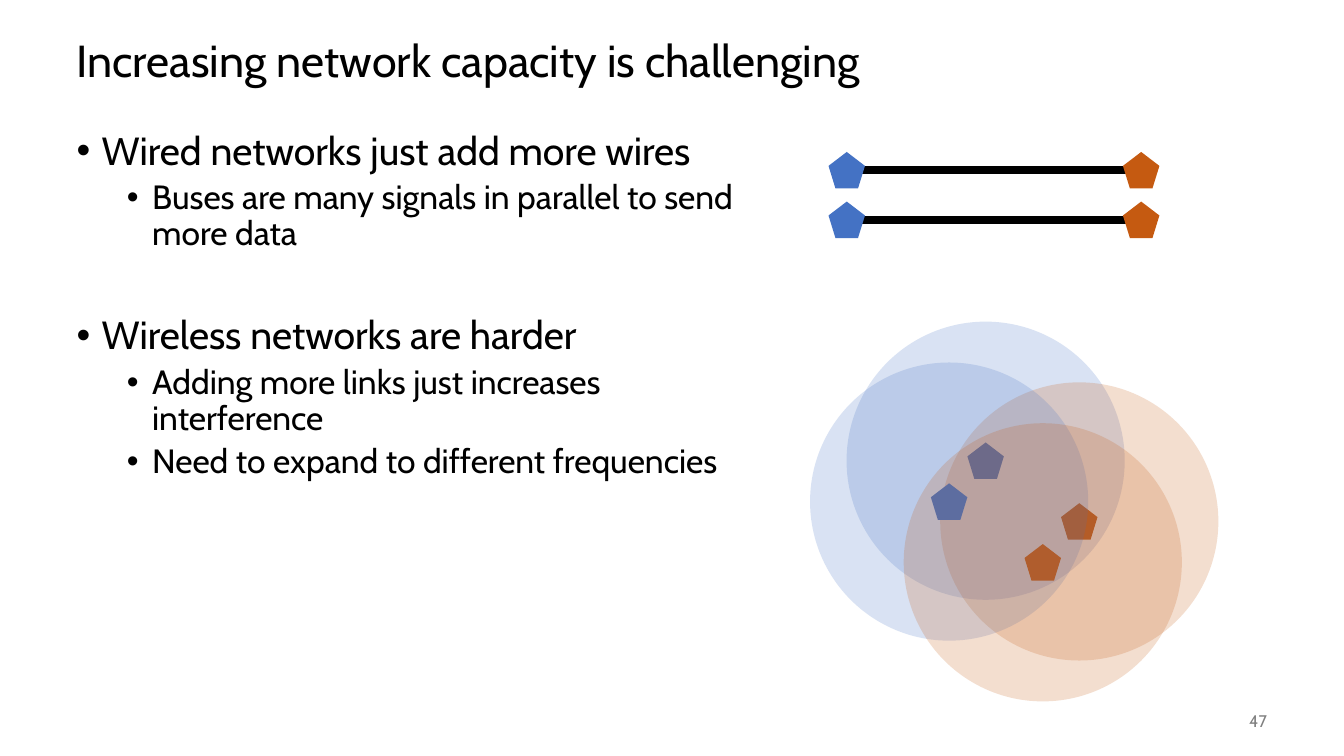
from dataclasses import dataclass

from lxml.etree import SubElement
from pptx import Presentation
from pptx.dml.color import RGBColor
from pptx.enum.shapes import MSO_CONNECTOR, MSO_SHAPE
from pptx.enum.text import MSO_ANCHOR, PP_ALIGN
from pptx.oxml.ns import qn
from pptx.util import Cm, Pt


@dataclass(frozen=True)
class Theme:
    font: str = "Cabin"
    text: RGBColor = RGBColor(0x00, 0x00, 0x00)
    muted: RGBColor = RGBColor(0x80, 0x80, 0x80)
    blue: RGBColor = RGBColor(0x44, 0x72, 0xC4)
    orange: RGBColor = RGBColor(0xC5, 0x5A, 0x11)
    title_size: int = 32
    body_sizes: tuple = (28, 24)
    number_size: int = 12
    wire_width: int = 6
    range_opacity: int = 20


THEME = Theme()
NODE_SIZE = 0.92
RANGE_SIZE = 7.01

# Level, space before in points, text
BULLETS = [
    (0, 0, "Wired networks just add more wires"),
    (1, 5, "Buses are many signals in parallel to send more data"),
    (0, 45, "Wireless networks are harder"),
    (1, 5, "Adding more links just increases interference"),
    (1, 5, "Need to expand to different frequencies"),
]

WIRE_LEFT, WIRE_RIGHT = 21.34, 28.76
WIRE_HEIGHTS = (4.29, 5.54)

# Centres of the first wireless pair, and the step to the second pair
WIRELESS_NODES = [(24.84, 11.61, THEME.blue), (27.2, 13.14, THEME.orange)]
PAIR_STEP = (-0.92, 1.03)


def add_text_frame(slide, left, top, width, height, anchor):
    box = slide.shapes.add_textbox(Cm(left), Cm(top), Cm(width), Cm(height))
    frame = box.text_frame
    frame.word_wrap = True
    frame.vertical_anchor = anchor
    return frame


def format_runs(paragraph, size, color):
    for run in paragraph.runs:
        run.font.name = THEME.font
        run.font.size = Pt(size)
        run.font.color.rgb = color


def add_title(slide, text):
    frame = add_text_frame(slide, 1.68, 0.64, 30.48, 1.9, MSO_ANCHOR.MIDDLE)
    frame.text = text
    paragraph = frame.paragraphs[0]
    paragraph.line_spacing = 0.9
    format_runs(paragraph, THEME.title_size, THEME.text)


def add_bullet_mark(paragraph, level):
    properties = paragraph._p.get_or_add_pPr()
    properties.set("marL", str(Cm(0.635 + 1.27 * level)))
    properties.set("indent", str(-Cm(0.635)))
    SubElement(properties, qn("a:buFont"), typeface="Arial")
    SubElement(properties, qn("a:buChar"), char="•")


def add_bullets(slide, bullets):
    frame = add_text_frame(slide, 1.68, 3.18, 17.27, 13.97, MSO_ANCHOR.TOP)
    for index, (level, space_before, text) in enumerate(bullets):
        paragraph = frame.add_paragraph() if index else frame.paragraphs[0]
        paragraph.text = text
        paragraph.level = level
        add_bullet_mark(paragraph, level)
        paragraph.line_spacing = 0.9
        paragraph.space_before = Pt(space_before)
        format_runs(paragraph, THEME.body_sizes[level], THEME.text)


def add_slide_number(slide, number):
    frame = add_text_frame(slide, 29.64, 17.65, 2.54, 1.02, MSO_ANCHOR.MIDDLE)
    frame.text = number
    paragraph = frame.paragraphs[0]
    paragraph.alignment = PP_ALIGN.RIGHT
    format_runs(paragraph, THEME.number_size, THEME.muted)


def add_centred_shape(slide, kind, x, y, size, color):
    shape = slide.shapes.add_shape(
        kind, Cm(x - size / 2), Cm(y - size / 2), Cm(size), Cm(size)
    )
    shape.shadow.inherit = False
    shape.fill.solid()
    shape.fill.fore_color.rgb = color
    shape.line.fill.background()
    return shape


def add_node(slide, x, y, color):
    add_centred_shape(slide, MSO_SHAPE.REGULAR_PENTAGON, x, y, NODE_SIZE, color)


def add_radio_range(slide, x, y, color):
    """Add the translucent circle that a wireless node reaches."""
    circle = add_centred_shape(slide, MSO_SHAPE.OVAL, x, y, RANGE_SIZE, color)
    fill_color = circle._element.spPr.find(qn("a:solidFill"))[0]
    SubElement(fill_color, qn("a:alpha"), val=str(THEME.range_opacity * 1000))


def add_wired_link(slide, y):
    wire = slide.shapes.add_connector(
        MSO_CONNECTOR.STRAIGHT, Cm(WIRE_LEFT), Cm(y), Cm(WIRE_RIGHT), Cm(y)
    )
    wire.line.color.rgb = THEME.text
    wire.line.width = Pt(THEME.wire_width)
    SubElement(wire._element.spPr, qn("a:effectLst"))
    add_node(slide, WIRE_LEFT, y, THEME.blue)
    add_node(slide, WIRE_RIGHT, y, THEME.orange)


def add_wireless_pair(slide, step_x, step_y):
    nodes = [(x + step_x, y + step_y, color) for x, y, color in WIRELESS_NODES]
    for add_part in (add_node, add_radio_range):
        for x, y, color in nodes:
            add_part(slide, x, y, color)


def main():
    presentation = Presentation()
    presentation.slide_width = Cm(33.87)
    presentation.slide_height = Cm(19.05)
    slide = presentation.slides.add_slide(presentation.slide_layouts[6])

    add_title(slide, "Increasing network capacity is challenging")
    add_bullets(slide, BULLETS)
    add_slide_number(slide, "47")
    for y in WIRE_HEIGHTS:
        add_wired_link(slide, y)
    add_wireless_pair(slide, 0, 0)
    add_wireless_pair(slide, *PAIR_STEP)

    presentation.save("out.pptx")


if __name__ == "__main__":
    main()
